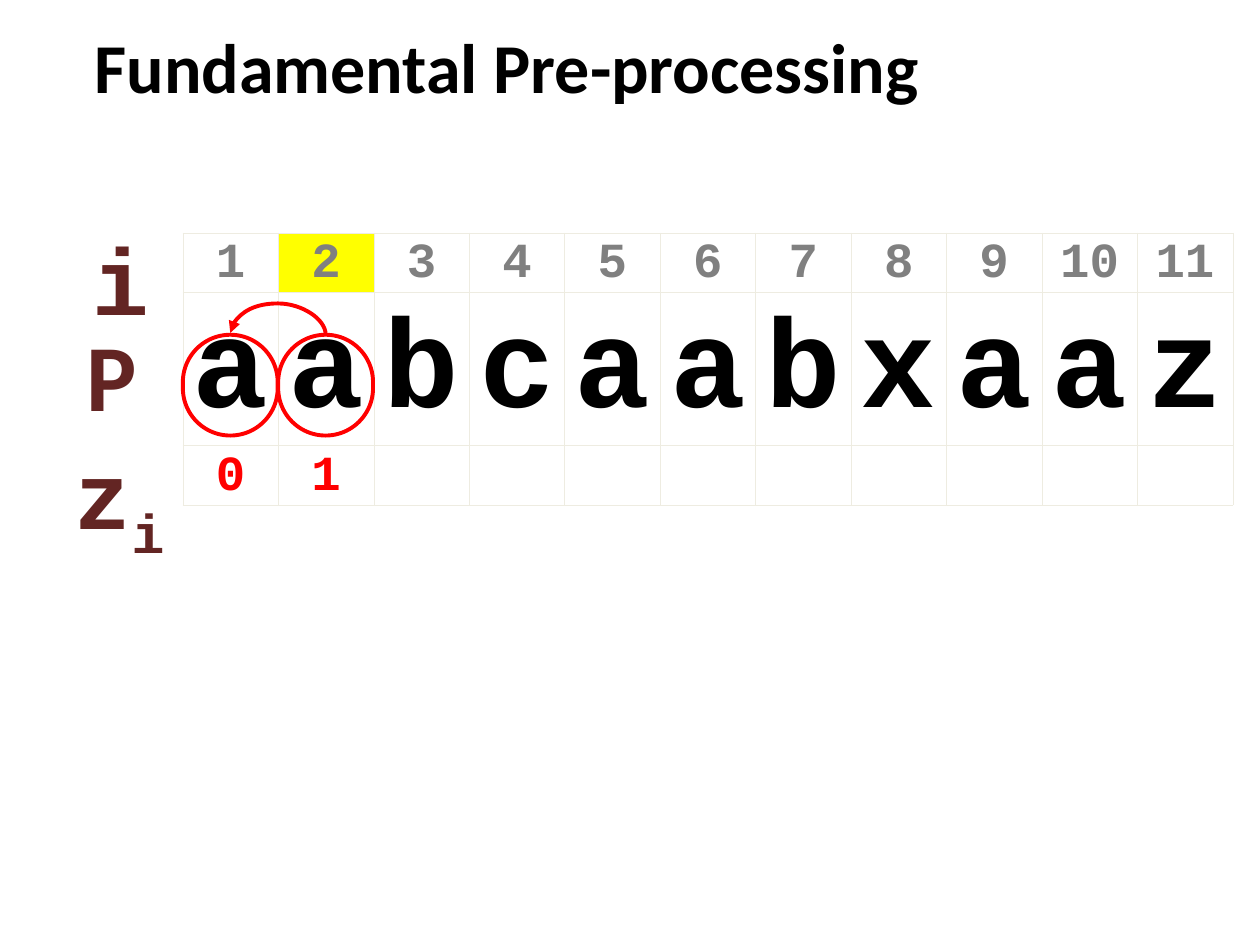
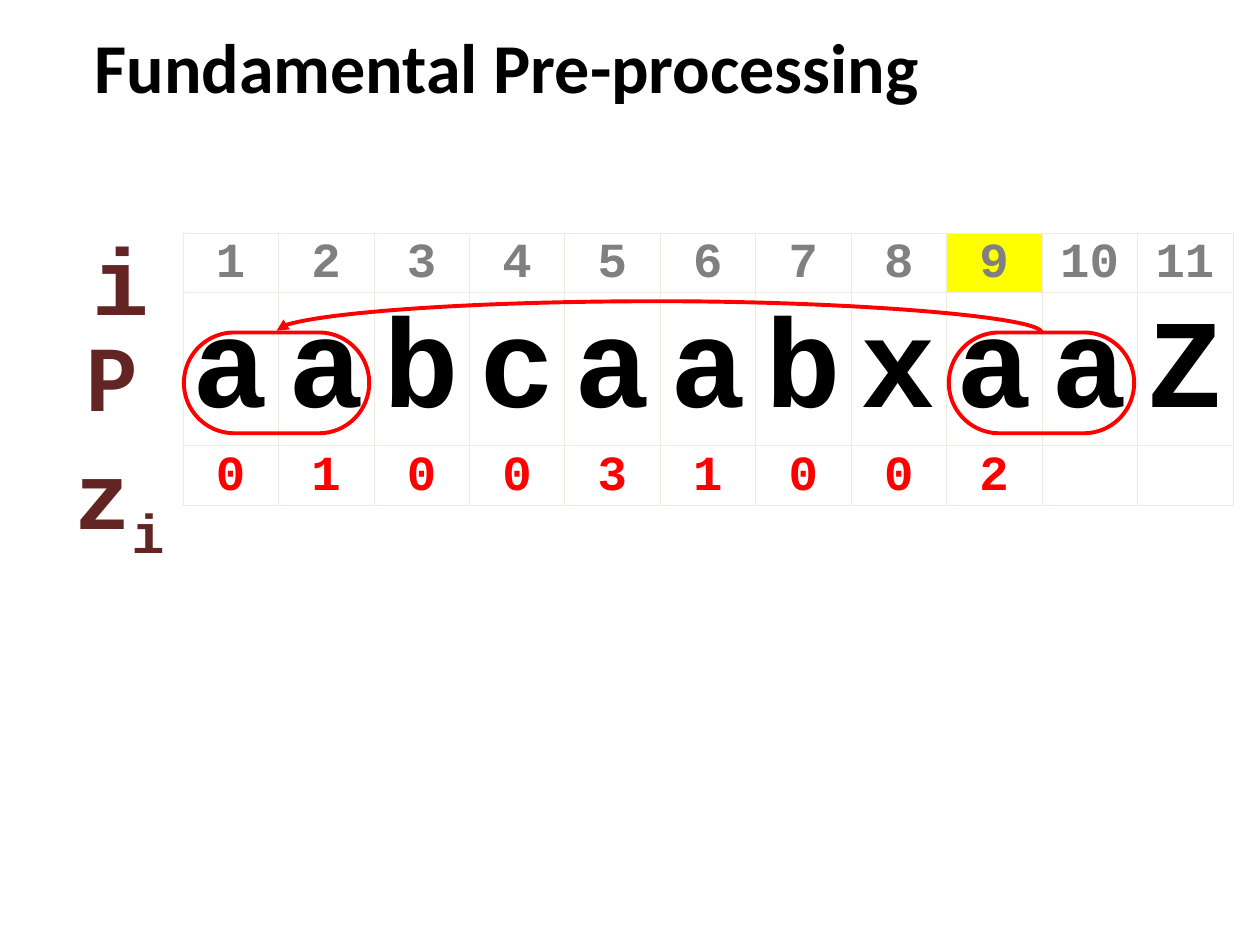
from lxml.etree import SubElement
from pptx import Presentation
from pptx.dml.color import RGBColor
from pptx.enum.shapes import MSO_CONNECTOR, MSO_SHAPE
from pptx.enum.text import MSO_ANCHOR, PP_ALIGN
from pptx.oxml import parse_xml
from pptx.oxml.ns import nsdecls, qn
from pptx.util import Pt

MONO = "Courier New"
BLACK, GREY, RED, BROWN = "000000", "808080", "FF0000", "632523"
YELLOW, BORDER = "FFFF00", "EEECE1"
GRID_LEFT, GRID_TOP, COLUMN = 104.5, 133.2, 54.55
ROWS = [(34, 28, GREY), (87.3, 72, BLACK), (34, 28, RED)]  # height, size, colour
# Text, font, left, top, width, height, top inset, anchor
LABELS = [
    ("P", "Calibri", 23, 185, 81.4, 57.6, 3.6, MSO_ANCHOR.MIDDLE),
    ("zi", MONO, 32.4, 242.6, 72, 57.6, 6, MSO_ANCHOR.TOP),
    ("i", MONO, 33.1, 125.3, 72, 50.4, 1, MSO_ANCHOR.TOP),
]
# Pattern, Z values, current index, ring lefts (source, prefix), ring top, ring width
STEPS = [
    ("aabcaabxaaz", "01", 2, (159, 104.5), 191.3, 54.2),
    ("aabcaabxaaZ", "010031002", 9, (542.2, 105.1), 190, 105.9),
]


def rgb(value):
    return RGBColor.from_string(value)


def add_run(paragraph, text, font, size, colour):
    run = paragraph.add_run()
    run.text = text
    run.font.name = font
    run.font.size = Pt(size)
    run.font.bold = True
    run.font.color.rgb = rgb(colour)
    return run


prs = Presentation()
prs.slide_width, prs.slide_height = Pt(720), Pt(540)

for pattern, z_values, current, ring_lefts, ring_top, ring_width in STEPS:
    slide = prs.slides.add_slide(prs.slide_layouts[5])
    title = slide.shapes.title
    title.left, title.top, title.width, title.height = Pt(54), Pt(11.5), Pt(612), Pt(57.6)
    heading = title.text_frame
    heading.margin_left = heading.margin_right = heading.margin_bottom = 0
    heading.margin_top = Pt(2)
    heading.vertical_anchor = MSO_ANCHOR.TOP
    heading.paragraphs[0].alignment = PP_ALIGN.LEFT
    add_run(heading.paragraphs[0], "Fundamental Pre-processing", "Calibri", 40, BLACK)

    # Index, pattern and Z values
    count = len(pattern)
    grid = slide.shapes.add_table(
        len(ROWS), count, Pt(GRID_LEFT), Pt(GRID_TOP),
        Pt(COLUMN * count), Pt(sum(row[0] for row in ROWS))).table
    grid.first_row = grid.horz_banding = False
    for column in grid.columns:
        column.width = Pt(COLUMN)
    contents = [range(1, count + 1), pattern, z_values.ljust(count)]
    for r, (height, size, colour) in enumerate(ROWS):
        grid.rows[r].height = Pt(height)
        for c, value in enumerate(contents[r]):
            cell = grid.cell(r, c)
            cell.margin_left = cell.margin_right = cell.margin_top = cell.margin_bottom = 0
            cell.vertical_anchor = MSO_ANCHOR.MIDDLE
            entry = cell.text_frame.paragraphs[0]
            entry.alignment = PP_ALIGN.CENTER
            entry.line_spacing = 1.07
            entry.space_after = Pt(8)
            if value != " ":
                add_run(entry, str(value), MONO, size, colour)
            properties = cell._tc.get_or_add_tcPr()
            for side in ("lnL", "lnR", "lnT", "lnB"):
                properties.append(parse_xml(
                    f'<a:{side} {nsdecls("a")} w="3175"><a:solidFill>'
                    f'<a:srgbClr val="{BORDER}"/></a:solidFill></a:{side}>'))
            if r == 0 and value == current:
                cell.fill.solid()
                cell.fill.fore_color.rgb = rgb(YELLOW)
            else:
                cell.fill.background()

    # Row labels; a second letter is a subscript
    for text, font, left, top, width, height, inset, anchor in LABELS:
        label = slide.shapes.add_textbox(Pt(left), Pt(top), Pt(width), Pt(height)).text_frame
        label.word_wrap = True
        label.margin_top = Pt(inset)
        label.vertical_anchor = anchor
        line = label.paragraphs[0]
        line.alignment = PP_ALIGN.CENTER
        add_run(line, text[0], font, 54, BROWN)
        if text[1:]:
            subscript = add_run(line, text[1:], font, 54, BROWN)
            subscript.font._element.set("baseline", "-25000")

    # Matching substrings
    for left in ring_lefts:
        ring = slide.shapes.add_shape(
            MSO_SHAPE.ROUNDED_RECTANGLE, Pt(left), Pt(ring_top), Pt(ring_width), Pt(57.6))
        ring.adjustments[0] = 0.5
        ring.shadow.inherit = False
        ring.fill.background()
        ring.line.color.rgb = rgb(RED)
        ring.line.width = Pt(2.25)

    # Arc over the text: a curved connector one point wide, turned upright
    start, end = (left + ring_width / 2 for left in ring_lefts)
    span, middle = start - end, (start + end) / 2
    arc_top = ring_top - 0.5 - span / 2
    arc = slide.shapes.add_connector(
        MSO_CONNECTOR.CURVE, Pt(middle - 0.5), Pt(arc_top),
        Pt(middle + 0.5), Pt(arc_top + span))
    arc.line.color.rgb = rgb(RED)
    arc.line.width = Pt(2.25)
    SubElement(arc.line._get_or_add_ln(), qn("a:tailEnd"), type="triangle")
    shape_properties = arc._element.spPr
    SubElement(shape_properties, qn("a:effectLst"))
    turn = shape_properties.find(qn("a:xfrm"))
    turn.set("rot", "16200000")
    turn.set("flipV", "1")
    bend = shape_properties.find(qn("a:prstGeom")).find(qn("a:avLst"))
    SubElement(bend, qn("a:gd"), name="adj1", fmla="val 1800000")

prs.save("out.pptx")
